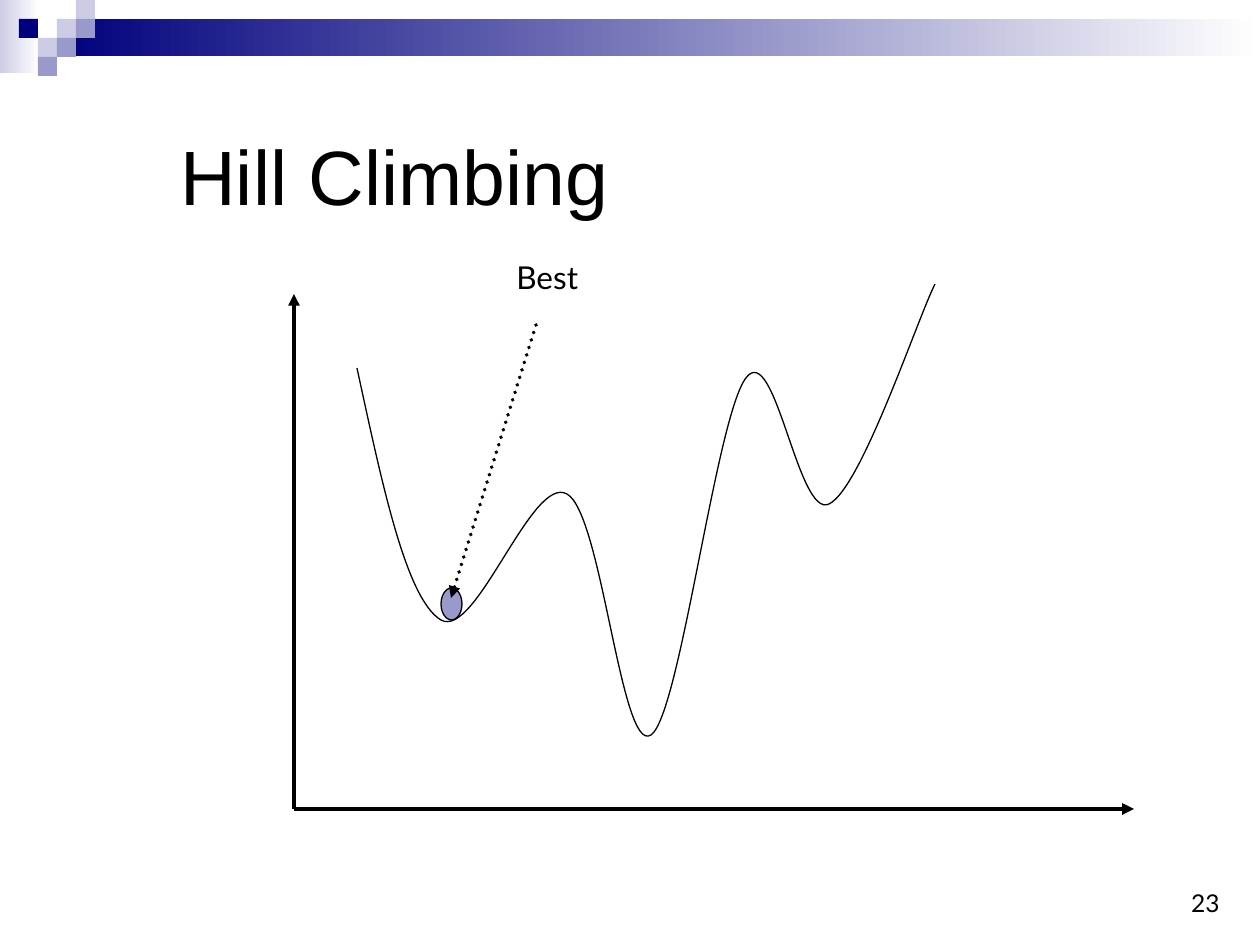
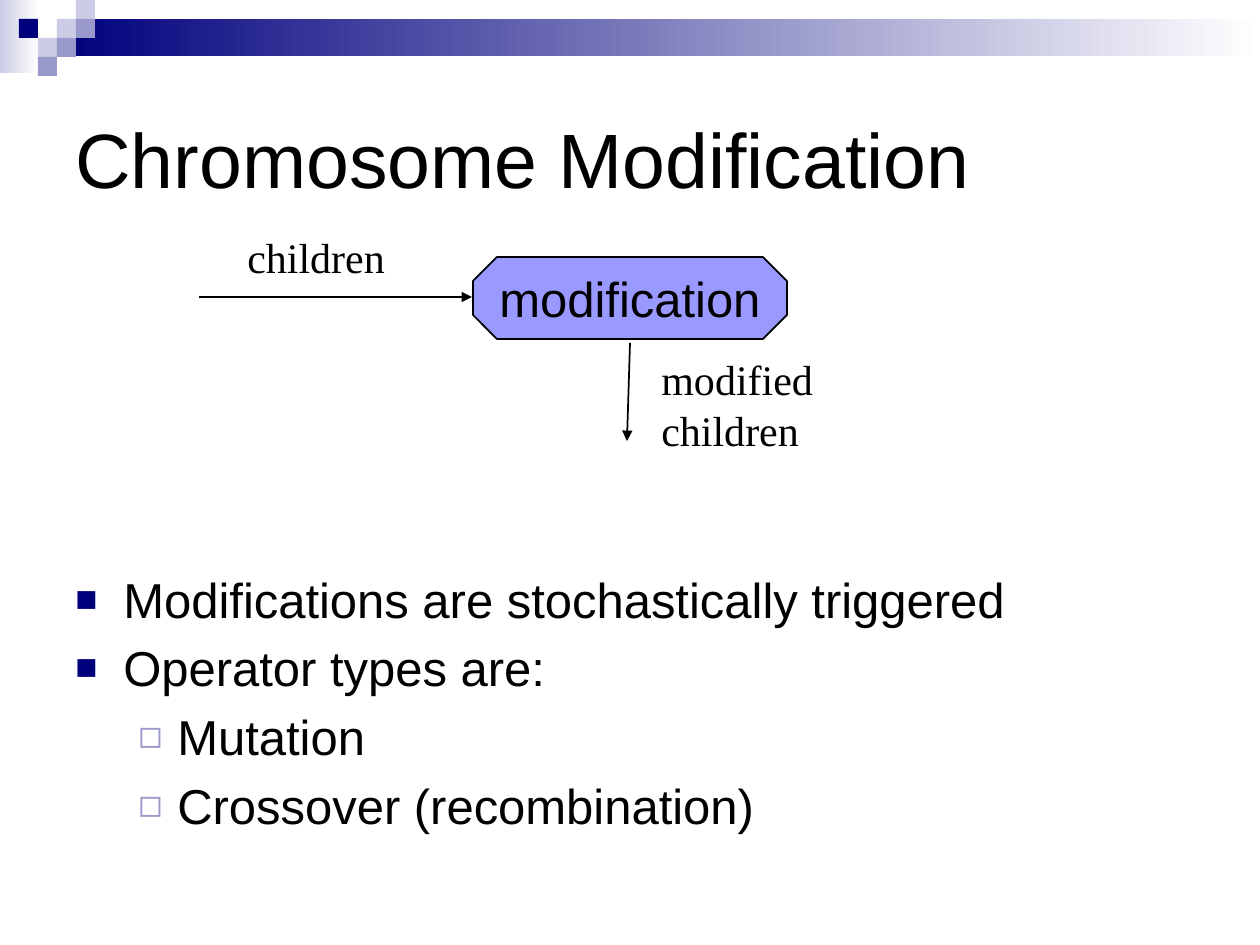
import pptx
import pptx.util
import pptx.dml.color
import pptx.enum.dml
import pptx.enum.shapes
import pptx.enum.text
import pptx.oxml.ns
import lxml.etree

SCALE = 914400 / 126  # EMU in one px
RGB = pptx.dml.color.RGBColor
BLACK = RGB(0x00, 0x00, 0x00)
WHITE = RGB(0xFF, 0xFF, 0xFF)
NAVY = RGB(0x00, 0x00, 0x7D)
LILAC = RGB(0x99, 0x99, 0xCC)
PALE = RGB(0xCC, 0xCC, 0xE6)
VIOLET = RGB(0x99, 0x99, 0xFF)

SHAPES = pptx.enum.shapes.MSO_SHAPE
ANCHOR = pptx.enum.text.MSO_ANCHOR
ALIGN = pptx.enum.text.PP_ALIGN

CUBE = 19
CUBES = [(3, 1, PALE), (4, 0, PALE), (4, 1, LILAC), (2, 2, PALE),
         (1, 1, NAVY), (3, 2, LILAC), (2, 3, LILAC)]  # column, row, colour

# Per level: bullet, colour, size in percent, text indent px, hanging px
BULLETS = [("■", NAVY, 75, 48, 48), ("◻", LILAC, 80, 102, 39)]


def emu(px):
    return pptx.util.Emu(round(px * SCALE))


def add_xml(parent, tag, **attributes):
    return lxml.etree.SubElement(parent, pptx.oxml.ns.qn(tag), attributes)


def set_bullet(paragraph, level):
    mark, colour, size, indent, hanging = BULLETS[level]
    properties = paragraph._p.get_or_add_pPr()
    properties.set("marL", str(emu(indent)))
    properties.set("indent", str(-emu(hanging)))
    add_xml(add_xml(properties, "a:buClr"), "a:srgbClr", val=str(colour))
    add_xml(properties, "a:buSzPct", val=str(size * 1000))
    add_xml(properties, "a:buFont", typeface="Arial")
    add_xml(properties, "a:buChar", char=mark)


def write(frame, text, size, font="Arial", align=ALIGN.LEFT, anchor=ANCHOR.TOP,
          levels=None, line=None, before=0):
    """Fill a text frame with one paragraph for each line of text."""
    frame.word_wrap = True
    frame.vertical_anchor = anchor
    for i, words in enumerate(text.split("\n")):
        paragraph = frame.add_paragraph() if i else frame.paragraphs[0]
        paragraph.alignment = align
        if line:
            paragraph.line_spacing = pptx.util.Pt(line)
        if i and before:
            paragraph.space_before = pptx.util.Pt(before)
        if levels:
            paragraph.level = levels[i]
            set_bullet(paragraph, levels[i])
        run = paragraph.add_run()
        run.text = words
        run.font.size = pptx.util.Pt(size)
        run.font.name = font
        run.font.color.rgb = BLACK


def add_text(slide, box, text, size, **style):
    write(slide.shapes.add_textbox(*map(emu, box)).text_frame, text, size, **style)


def add_shape(slide, kind, box, colour, outline=None, fade=False):
    shape = slide.shapes.add_shape(kind, *map(emu, box))
    shape.shadow.inherit = False
    if fade:
        shape.fill.gradient()
        shape.fill.gradient_angle = 0
        for stop, stop_colour in zip(shape.fill.gradient_stops, (colour, WHITE)):
            stop.color.rgb = stop_colour
    else:
        shape.fill.solid()
        shape.fill.fore_color.rgb = colour
    if outline:
        shape.line.color.rgb = BLACK
        shape.line.width = pptx.util.Pt(outline)
    else:
        shape.line.fill.background()
    return shape


def add_arrow(slide, start, end, width, dotted=False):
    arrow = slide.shapes.add_connector(
        pptx.enum.shapes.MSO_CONNECTOR.STRAIGHT, *map(emu, (*start, *end)))
    arrow.line.color.rgb = BLACK
    arrow.line.width = pptx.util.Pt(width)
    stroke = arrow.line._get_or_add_ln()
    if dotted:
        arrow.line.dash_style = pptx.enum.dml.MSO_LINE.ROUND_DOT
        stroke.set("cap", "rnd")
    add_xml(stroke, "a:tailEnd", type="triangle")
    add_xml(arrow._element.spPr, "a:effectLst")


def add_curve(slide, points, width):
    """Draw a start point followed by (control, control, end) triples."""
    outline = slide.shapes.build_freeform(*map(emu, points[0]))
    outline.add_line_segments(
        [tuple(map(emu, point)) for point in points[1:]], close=False)
    curve = outline.convert_to_shape()
    curve.shadow.inherit = False
    curve.fill.background()
    curve.line.color.rgb = BLACK
    curve.line.width = pptx.util.Pt(width)
    # Merge each three straight steps into one cubic step
    steps = list(curve._element.iter(pptx.oxml.ns.qn("a:lnTo")))
    track = steps[0].getparent()
    for i in range(0, len(steps), 3):
        cubic = add_xml(track, "a:cubicBezTo")
        for step in steps[i:i + 3]:
            cubic.append(step[0])
            track.remove(step)


def add_header(slide):
    # Fading bands
    add_shape(slide, SHAPES.RECTANGLE, (0, 0, 39, 73), PALE, fade=True)
    add_shape(slide, SHAPES.RECTANGLE, (3 * CUBE, CUBE, 1203, 37), NAVY, fade=True)
    # Cubes on a grid
    for column, row, colour in CUBES:
        add_shape(slide, SHAPES.RECTANGLE,
                  (column * CUBE, row * CUBE, CUBE, CUBE), colour)


def add_slide(deck, title, title_box):
    slide = deck.slides.add_slide(deck.slide_layouts[6])
    add_header(slide)
    add_text(slide, title_box, title, 44, anchor=ANCHOR.MIDDLE)
    return slide


def draw_landscape(slide, box):
    left, top, width, height = box

    def at(x, y):
        return left + x, top + y

    # Axes
    origin = at(0, height)
    add_arrow(slide, origin, at(0, 42), 2.25)
    add_arrow(slide, origin, at(width, height), 2.25)

    # Cost curve
    valleys_and_hills = [
        (63, 116),
        (88, 231), (112, 347), (147, 368),
        (182, 388), (238, 222), (273, 242),
        (308, 261), (327, 503), (357, 483),
        (386, 464), (422, 165), (452, 126),
        (481, 87), (504, 267), (535, 252),
        (567, 237), (623, 68), (641, 32),
    ]
    add_curve(slide, [at(*point) for point in valleys_and_hills], 0.75)

    # Current best point
    add_shape(slide, SHAPES.OVAL, (*at(147, 336), 21, 32), LILAC, outline=0.75)
    add_arrow(slide, at(242, 73), at(157, 346), 2.25, dotted=True)
    add_text(slide, (*at(210, 0), 147, 50), "Best", 18, font="Lato")


def draw_modification(slide, box):
    left, top, width, height = box
    # Operator
    operator = add_shape(slide, SHAPES.OCTAGON, box, VIOLET, outline=1)
    operator.adjustments[0] = 0.293
    write(operator.text_frame, "modification", 28,
          align=ALIGN.CENTER, anchor=ANCHOR.MIDDLE)
    # Flow in and out
    middle = top + 40
    add_arrow(slide, (left - 274, middle), (left - 1, middle), 1)
    add_arrow(slide, (left + width // 2, top + height + 4),
              (left + width // 2 - 3, top + height + 102), 1)
    label = {"size": 24, "font": "Times New Roman", "line": 29}
    add_text(slide, (left - 238, top - 32, 165, 63), "children", **label)
    add_text(slide, (left + 176, top + 90, 318, 63), "modified children", **label)


def build_hill_climbing(deck):
    slide = add_slide(deck, "Hill Climbing", (168, 118, 1074, 113))
    draw_landscape(slide, (294, 252, 840, 557))
    add_text(slide, (970, 861, 262, 63), "23", 14, font="Lato",
             align=ALIGN.RIGHT, anchor=ANCHOR.BOTTOM)


def build_chromosome_modification(deck):
    slide = add_slide(deck, "Chromosome Modification", (63, 63, 1134, 189))
    draw_modification(slide, (473, 257, 314, 82))
    add_text(slide, (63, 563, 1134, 290),
             "Modifications are stochastically triggered\n"
             "Operator types are:\nMutation\nCrossover (recombination)",
             28, levels=[0, 0, 1, 1], before=5.6)


def main():
    deck = pptx.Presentation()
    deck.slide_width, deck.slide_height = emu(1260), emu(945)
    build_hill_climbing(deck)
    build_chromosome_modification(deck)
    deck.save("out.pptx")


if __name__ == "__main__":
    main()
